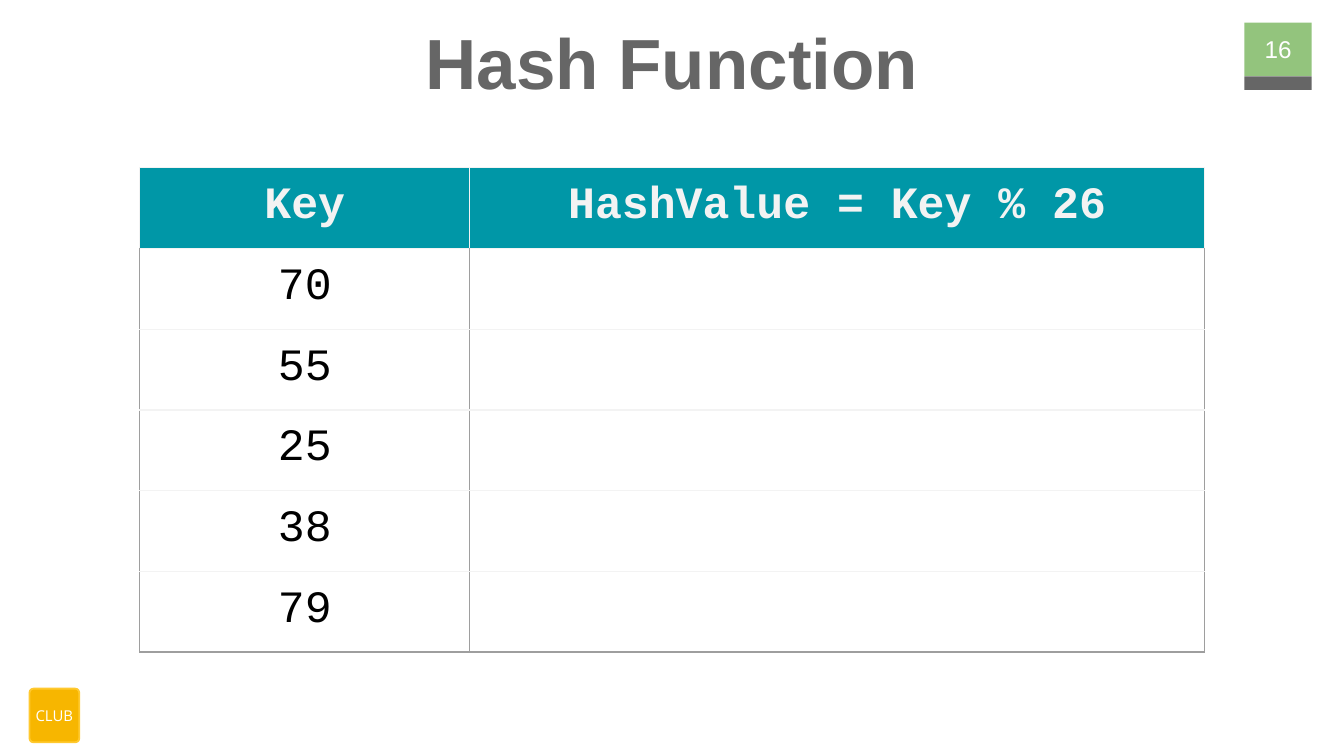
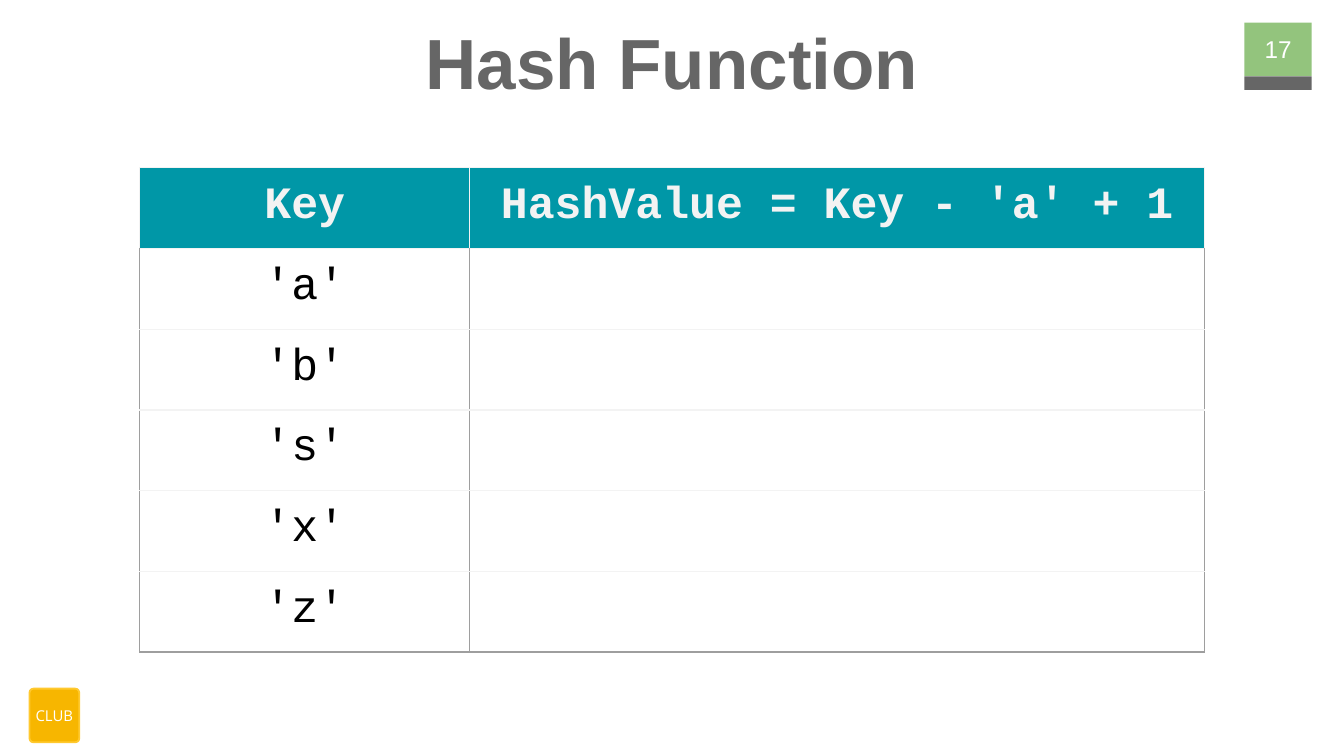
from dataclasses import dataclass

from lxml.etree import SubElement
from pptx import Presentation
from pptx.dml.color import RGBColor
from pptx.enum.shapes import MSO_SHAPE as Shape
from pptx.enum.text import MSO_ANCHOR as Anchor, PP_ALIGN as Align
from pptx.oxml.ns import qn
from pptx.util import Inches, Pt

W = Inches(10)
H = W * 9 // 16

COLORS = {
    "white": "FFFFFF",
    "black": "000000",
    "gray": "666666",
    "green": "93C47D",
    "teal": "0097A7",
    "pale": "F3F3F3",
    "border": "9E9E9E",
    "amber": "F7B600",
    "gold": "FFC92F",
}


@dataclass(frozen=True)
class Box:
    """A place on the slide, in percent of its width and height."""
    left: float
    top: float
    width: float
    height: float

    def emu(self) -> tuple[int, int, int, int]:
        """Give left, top, width and height as lengths."""
        return (int(W * self.left / 100), int(H * self.top / 100),
                int(W * self.width / 100), int(H * self.height / 100))


@dataclass(frozen=True)
class Style:
    """A text style."""
    font: str
    size: int
    color: str
    bold: bool = False


@dataclass(frozen=True)
class HashSlide:
    """What one slide of the series shows."""
    number: int
    formula: str
    keys: tuple[str, ...]


TITLE = Style("Arial", 38, "gray", True)
NUMBER = Style("Arial", 13, "white")
BADGE = Style("Open Sans", 8, "white")
HEAD = Style("Courier New", 24, "pale", True)
BODY = Style("Courier New", 24, "black")

TITLE_BOX = Box(3.4, 0.7, 93.2, 11.2)
NUMBER_BOX = Box(92.1, 2.7, 6, 7.6)
TAB_BOX = Box(92.6, 3, 5, 7.1)
TAB_FOOT_BOX = Box(92.6, 10.1, 5, 1.8)
BADGE_BOX = Box(2.2, 91.1, 3.7, 7.1)
TABLE_BOX = Box(10.4, 22.2, 79.2, 44.8)
KEY_SHARE = 0.31

SLIDES = (
    HashSlide(16, "HashValue = Key % 26", ("70", "55", "25", "38", "79")),
    HashSlide(17, "HashValue = Key - 'a' + 1",
              ("'a'", "'b'", "'s'", "'x'", "'z'")),
)


def rgb(name: str) -> RGBColor:
    """Look up a colour by name."""
    return RGBColor.from_string(COLORS[name])


def write(tf, text: str, style: Style) -> None:
    """Put one centred paragraph into a text frame."""
    p = tf.paragraphs[0]
    p.text = text
    p.alignment = Align.CENTER
    p.font.name = style.font
    p.font.size = Pt(style.size)
    p.font.bold = style.bold
    p.font.color.rgb = rgb(style.color)


def set_insets(target, inset: float) -> None:
    """Set all four margins of a text frame or cell, in inches."""
    for side in ("left", "top", "right", "bottom"):
        setattr(target, f"margin_{side}", Inches(inset))


def add_block(s, box: Box, fill: str, kind=Shape.RECTANGLE):
    """Draw a flat filled shape without an outline."""
    sp = s.shapes.add_shape(kind, *box.emu())
    sp.shadow.inherit = False
    sp.fill.solid()
    sp.fill.fore_color.rgb = rgb(fill)
    sp.line.fill.background()
    return sp


def add_text(s, box: Box, text: str, style: Style, anchor=Anchor.TOP) -> None:
    """Add a text box with even margins."""
    tf = s.shapes.add_textbox(*box.emu()).text_frame
    tf.word_wrap = True
    tf.vertical_anchor = anchor
    set_insets(tf, 0.1)
    write(tf, text, style)


def add_badge(s) -> None:
    """Draw the corner badge as a plain labelled shape."""
    sp = add_block(s, BADGE_BOX, "amber", Shape.ROUNDED_RECTANGLE)
    sp.adjustments[0] = 0.08
    sp.line.color.rgb = rgb("gold")
    sp.line.width = Pt(1)
    tf = sp.text_frame
    tf.word_wrap = False
    tf.vertical_anchor = Anchor.MIDDLE
    set_insets(tf, 0)
    write(tf, "CLUB", BADGE)


def set_borders(cell, sides: str, top: str, bottom: str) -> None:
    """Give a cell thin borders; these must come before its fill."""
    tc_pr = cell._tc.get_or_add_tcPr()
    edges = (("L", sides), ("R", sides), ("T", top), ("B", bottom))
    for i, (edge, color) in enumerate(edges):
        ln = SubElement(tc_pr, qn(f"a:ln{edge}"), w=str(Pt(0.75)))
        fill = SubElement(ln, qn("a:solidFill"))
        SubElement(fill, qn("a:srgbClr"), val=COLORS[color])
        tc_pr.insert(i, ln)


def add_hash_table(s, data: HashSlide) -> None:
    """Add the table of keys with an empty column for their hash values."""
    rows = [("Key", data.formula)] + [(key, "") for key in data.keys]
    table = s.shapes.add_table(len(rows), 2, *TABLE_BOX.emu()).table
    table.first_row = table.horz_banding = False
    width = TABLE_BOX.emu()[2]
    table.columns[0].width = int(width * KEY_SHARE)
    table.columns[1].width = width - table.columns[0].width
    for i, row in enumerate(rows):
        is_head, is_last = i == 0, i == len(rows) - 1
        for j, text in enumerate(row):
            cell = table.cell(i, j)
            set_insets(cell, 0.1)
            write(cell.text_frame, text, HEAD if is_head else BODY)
            if is_head:
                cell.fill.solid()
                cell.fill.fore_color.rgb = rgb("teal")
            else:
                cell.fill.background()
            set_borders(cell, "pale" if is_head else "border", "pale",
                        "border" if is_last else "pale")


def add_slide(prs, data: HashSlide) -> None:
    """Build one slide: shared frame, title, number and table."""
    s = prs.slides.add_slide(prs.slide_layouts[6])
    s.background.fill.solid()
    s.background.fill.fore_color.rgb = rgb("white")
    add_block(s, TAB_BOX, "green")
    add_block(s, TAB_FOOT_BOX, "gray")
    add_badge(s)
    add_text(s, TITLE_BOX, "Hash Function", TITLE)
    add_text(s, NUMBER_BOX, str(data.number), NUMBER, Anchor.MIDDLE)
    add_hash_table(s, data)


def main() -> None:
    """Build the presentation and save it."""
    prs = Presentation()
    prs.slide_width, prs.slide_height = W, H
    for data in SLIDES:
        add_slide(prs, data)
    prs.save("out.pptx")


main()
